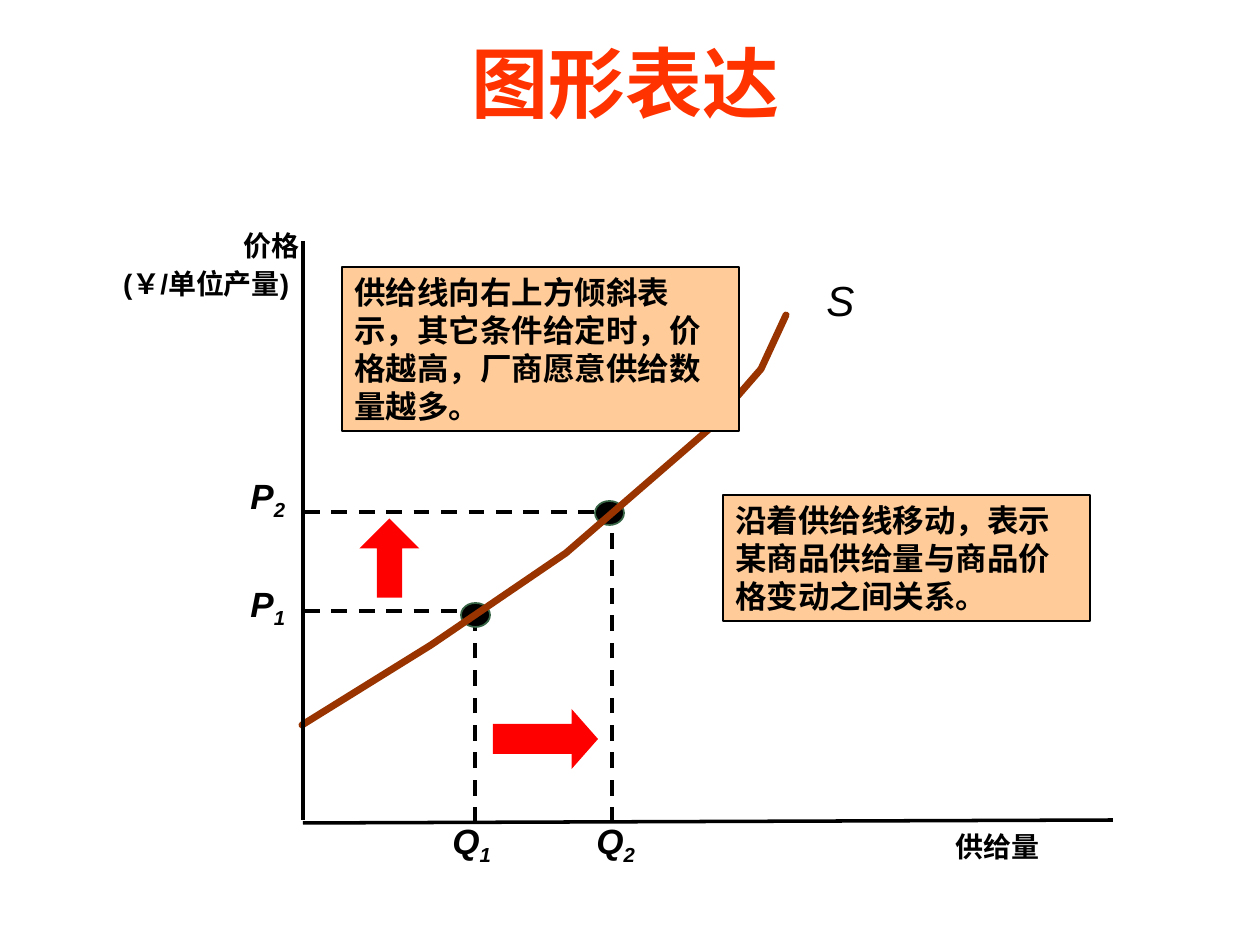
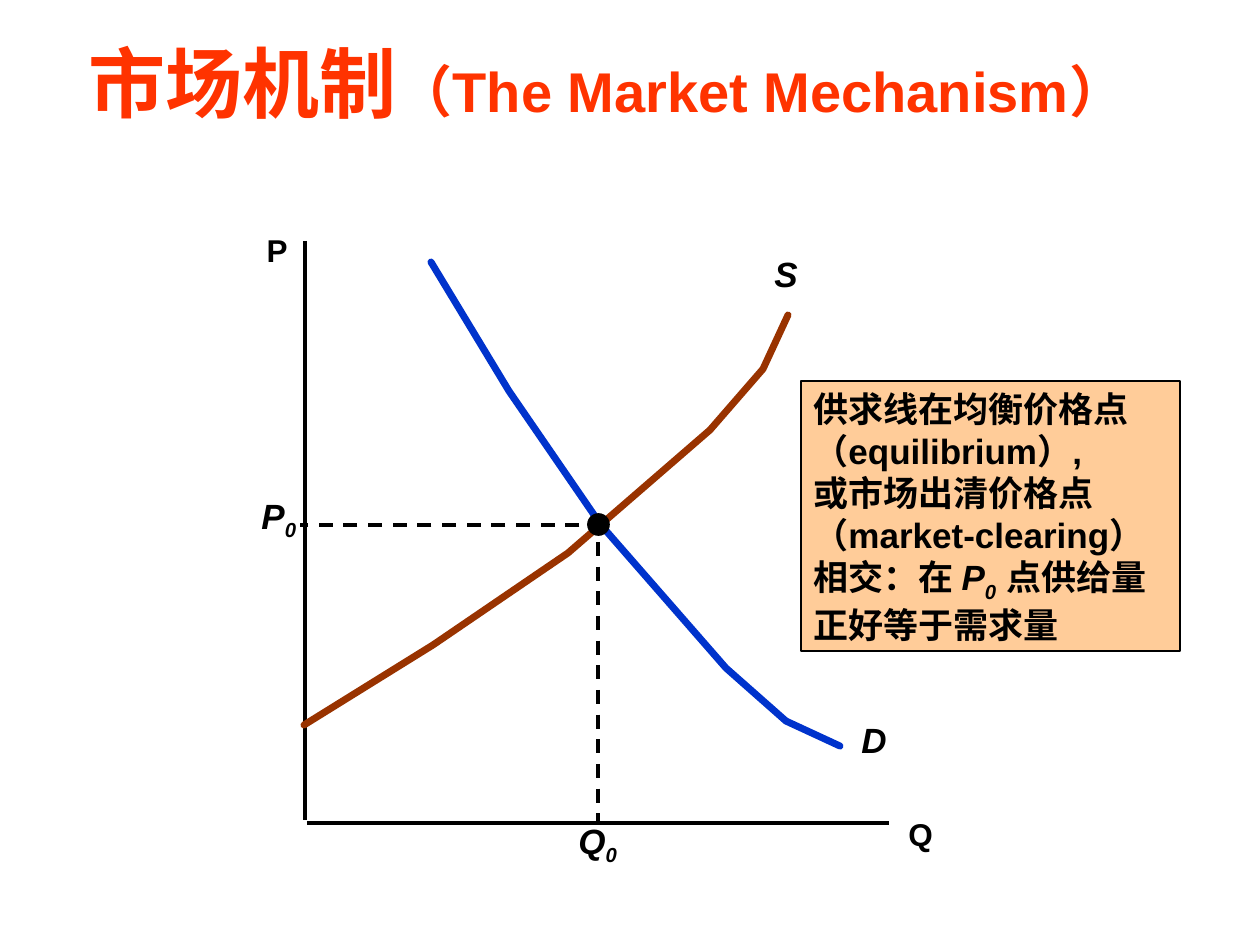
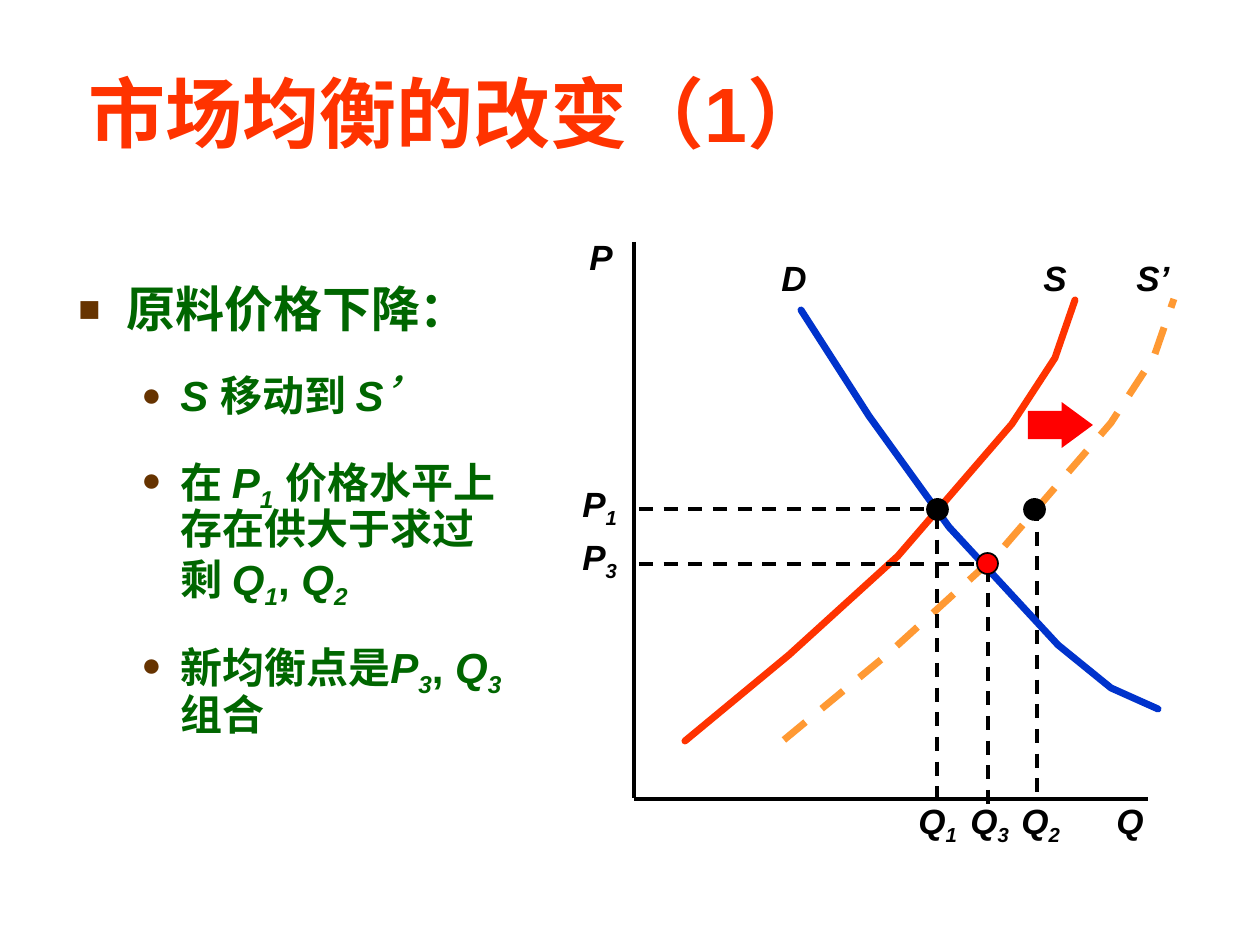
from lxml.etree import SubElement
from pptx import Presentation
from pptx.dml.color import RGBColor
from pptx.enum.dml import MSO_LINE
from pptx.enum.lang import MSO_LANGUAGE_ID
from pptx.enum.shapes import MSO_CONNECTOR, MSO_SHAPE
from pptx.enum.text import MSO_ANCHOR, MSO_AUTO_SIZE, PP_ALIGN
from pptx.oxml.ns import qn
from pptx.util import Emu, Pt

EMU_PER_PX = 914400 / 126
COLORS = {
    "title": "FF3300",
    "ink": "000000",
    "callout": "FFCC99",
    "supply": "993300",
    "demand": "0033CC",
    "old_supply": "FF3300",
    "new_supply": "FF9933",
    "arrow": "FF0000",
    "dot_edge": "376546",
    "body": "006600",
    "bullet": "663300",
}
TITLE = {"size": Pt(44), "bold": True, "color": "title"}
LABEL = {"size": Pt(20), "bold": True, "italic": True}
AXIS_NAME = {"size": Pt(16), "bold": True}
AXIS_LETTER = {"size": Pt(18), "bold": True}
SPACER = (" ", {"size": Pt(24), "name": "Times New Roman", "bold": False})
ITALIC = {"italic": True}
SUBSCRIPT = {"italic": True, "subscript": True}

# Offsets from the first point of each curve
SUPPLY = [(0, 0), (129, -80), (264, -172), (406, -295), (459, -356), (484, -410)]
DEMAND = [(0, 0), (78, 129), (170, 263), (295, 406), (355, 459), (409, 484)]


def px(length):
    return Emu(round(length * EMU_PER_PX))


def box(*lengths):
    return [px(length) for length in lengths]


def rgb(name):
    return RGBColor.from_string(COLORS[name])


def symbol(letter, index):
    """Runs for a letter with a lowered index."""
    return [(letter, ITALIC), (index, SUBSCRIPT)]


def add_runs(paragraph, runs, base):
    for text, changes in runs:
        style = {"name": "Arial", "color": "ink", "subscript": False,
                 "language_id": MSO_LANGUAGE_ID.SIMPLIFIED_CHINESE, **base, **changes}
        run = paragraph.add_run()
        run.text = text
        run.font.color.rgb = rgb(style.pop("color"))
        if style.pop("subscript"):
            run._r.get_or_add_rPr().set("baseline", "-25000")
        for name, value in style.items():
            setattr(run.font, name, value)


def fill_text(frame, paragraphs, base, frame_format=None, paragraph_format=None):
    """Write lists of runs, one list to a paragraph."""
    for name, value in (frame_format or {}).items():
        setattr(frame, name, value)
    for index, runs in enumerate(paragraphs):
        paragraph = frame.add_paragraph() if index else frame.paragraphs[0]
        for name, value in {"alignment": PP_ALIGN.LEFT, **(paragraph_format or {})}.items():
            setattr(paragraph, name, value)
        paragraph._p.get_or_add_pPr().set("hangingPunct", "0")
        add_runs(paragraph, runs, base)


def add_title(slide, runs, left, top, width, height, alignment=PP_ALIGN.LEFT):
    frame = slide.shapes.add_textbox(*box(left, top, width, height)).text_frame
    fill_text(frame, [runs], TITLE,
              {"word_wrap": True, "vertical_anchor": MSO_ANCHOR.BOTTOM},
              {"alignment": alignment})


def add_label(slide, paragraphs, left, top, width, height=54, base=LABEL, **paragraph_format):
    frame = slide.shapes.add_textbox(*box(left, top, width, height)).text_frame
    fill_text(frame, paragraphs, base,
              {"word_wrap": False, "auto_size": MSO_AUTO_SIZE.SHAPE_TO_FIT_TEXT},
              paragraph_format)


def add_letter(slide, letter, left, top, width=48, base=LABEL):
    add_label(slide, [[(letter, {})]], left, top, width, base=base)


def add_symbol(slide, letter, index, left, top):
    width = 62 if letter == "P" else 66
    add_label(slide, [symbol(letter, index)], left, top, width, 60)


def style_line(line, color, width, dashed=False):
    line.color.rgb = rgb(color)
    line.width = Pt(width)
    if dashed:
        line.dash_style = MSO_LINE.DASH


def add_line(slide, start, end, width=2, dashed=False):
    line = slide.shapes.add_connector(MSO_CONNECTOR.STRAIGHT, *box(*start, *end))
    style_line(line.line, "ink", width, dashed)
    SubElement(line._element.spPr, qn("a:effectLst"))


def add_guides(slide, *ends, width=2):
    """Dashed lines, each given by its start and end."""
    for start, end in ends:
        add_line(slide, start, end, width, dashed=True)


def add_shape(slide, kind, bounds, fill, edge=None):
    shape = slide.shapes.add_shape(kind, *box(*bounds))
    shape.shadow.inherit = False
    shape.fill.solid()
    shape.fill.fore_color.rgb = rgb(fill)
    if edge:
        style_line(shape.line, edge, 1)
    else:
        shape.line.fill.background()
    return shape


def add_dot(slide, left, top, width=21, height=21, fill="ink", edge="ink"):
    add_shape(slide, MSO_SHAPE.OVAL, (left, top, width, height), fill, edge)


def add_arrow(slide, bounds, shaft, head, rotation=0):
    arrow = add_shape(slide, MSO_SHAPE.RIGHT_ARROW, bounds, "arrow")
    arrow.adjustments[0], arrow.adjustments[1] = shaft, head
    arrow.rotation = rotation


def add_callout(slide, paragraphs, bounds, size):
    callout = add_shape(slide, MSO_SHAPE.RECTANGLE, bounds, "callout", "ink")
    fill_text(callout.text_frame, paragraphs, {"size": Pt(size), "bold": True},
              {"word_wrap": True, "vertical_anchor": MSO_ANCHOR.TOP})


def add_curve(slide, offsets, start, color, stretch=(1, 1), dashed=False):
    points = [tuple(round(origin + offset * factor)
                    for origin, offset, factor in zip(start, pair, stretch))
              for pair in offsets]
    builder = slide.shapes.build_freeform(*points[0], scale=EMU_PER_PX)
    builder.add_line_segments(points[1:], close=False)
    curve = builder.convert_to_shape()
    curve.shadow.inherit = False
    curve.fill.background()
    style_line(curve.line, color, 4, dashed)
    outline = curve._element.spPr.find(qn("a:ln"))
    outline.set("cap", "flat" if dashed else "rnd")
    SubElement(outline, qn("a:round"))


def add_bullet(paragraph, character, percent, margin, indent):
    properties = paragraph._p.get_or_add_pPr()
    properties.set("marL", str(px(margin)))
    properties.set("indent", str(px(-indent)))
    color = SubElement(properties, qn("a:buClr"))
    SubElement(color, qn("a:srgbClr"), val=COLORS["bullet"])
    SubElement(properties, qn("a:buSzPct"), val=str(percent * 1000))
    SubElement(properties, qn("a:buFont"), typeface="Arial")
    SubElement(properties, qn("a:buChar"), char=character)


def add_body(slide, heading, points, bounds):
    frame = slide.shapes.add_textbox(*box(*bounds)).text_frame
    frame.word_wrap = True
    base = {"bold": True, "italic": False, "color": "body"}
    levels = [(heading, 28, 24.5, ("■", 75, 48, 48))]
    levels += [(runs, 24, 21, ("●", 80, 102, 39)) for runs in points]
    for index, (runs, size, space, bullet) in enumerate(levels):
        paragraph = frame.add_paragraph() if index else frame.paragraphs[0]
        paragraph.line_spacing = 0.9
        paragraph.space_before = Pt(space)
        paragraph._p.get_or_add_pPr().set("hangingPunct", "0")
        add_bullet(paragraph, *bullet)
        add_runs(paragraph, runs, {**base, "size": Pt(size)})


def build_supply_slide(slide):
    add_title(slide, [("图形表达", {})], 76, 27, 1100, 107, PP_ALIGN.CENTER)
    add_label(slide, [[("供给量", {}), SPACER]], 943, 809, 120, 63, AXIS_NAME)

    add_guides(slide, ((304, 611), (485, 611)), ((475, 823), (475, 616)), width=2.25)
    add_dot(slide, 461, 603, 29, 24, edge="dot_edge")
    add_guides(slide, ((304, 512), (619, 512)), ((612, 823), (612, 508)), width=2.25)
    add_dot(slide, 595, 501, 29, 24, edge="dot_edge")
    add_arrow(slide, (493, 709, 105, 60), 0.5, 0.44)
    add_arrow(slide, (350, 528, 79, 60), 0.42, 0.5, rotation=270)
    for letter, index, left, top in [("P", "1", 238, 576), ("Q", "1", 440, 813),
                                     ("P", "2", 238, 468), ("Q", "2", 584, 813)]:
        add_symbol(slide, letter, index, left, top)

    add_curve(slide, SUPPLY, (302, 725), "supply")
    add_letter(slide, "S", 814, 268, 53, {"size": Pt(24), "italic": True})
    add_callout(slide, [[("供给线向右上方倾斜表示，其它条件给定时，价格越高，厂商愿意供给数量越多。", {})]],
                (342, 267, 397, 164), 18)
    add_line(slide, (303, 241), (303, 820))
    add_line(slide, (303, 823), (1113, 820))
    add_label(slide, [[("价格", {})], [("(￥/单位产量)", {}), SPACER]],
              80, 229, 232, 80, AXIS_NAME, alignment=PP_ALIGN.RIGHT, line_spacing=0.8)
    add_callout(slide, [[("沿着供给线移动，表示某商品供给量与商品价格变动之间关系。", {})]],
                (723, 495, 367, 126), 18)


def build_mechanism_slide(slide):
    add_title(slide, [("市场机制", {}), ("（The Market Mechanism）", {"size": Pt(32)})],
              76, 27, 1100, 107)
    add_line(slide, (305, 241), (305, 820))
    add_line(slide, (307, 823), (889, 823))
    add_letter(slide, "Q", 896, 809, base=AXIS_LETTER)
    add_curve(slide, DEMAND, (431, 262), "demand")
    add_letter(slide, "D", 849, 712)
    add_curve(slide, SUPPLY, (304, 725), "supply")
    add_letter(slide, "S", 762, 246)
    add_callout(slide, [
        [("供求线在均衡价格点（equilibrium）,", {})],
        [("或市场出清价格点", {})],
        [("（market-clearing）相交：在 ", {}), *symbol("P", "0"), (" 点供给量正好等于需求量", {})],
    ], (801, 381, 379, 270), 20)
    add_guides(slide, ((604, 525), (300, 525)))
    add_dot(slide, 588, 514)
    add_symbol(slide, "P", "0", 249, 488)
    add_symbol(slide, "Q", "0", 566, 813)
    add_guides(slide, ((598, 542), (598, 824)))
    add_label(slide, [[("P", {})]], 253, 229, 47, 47, AXIS_LETTER,
              alignment=PP_ALIGN.RIGHT, line_spacing=0.9)


def build_equilibrium_slide(slide):
    supply_stretch = (390 / 484, 441 / 410)
    demand_stretch = (357 / 409, 399 / 484)
    add_curve(slide, SUPPLY, (784, 740), "new_supply", supply_stretch, dashed=True)
    add_letter(slide, "S’", 1124, 250, 58)
    add_arrow(slide, (1028, 402, 65, 46), 0.61, 0.68)
    add_guides(slide, ((1037, 507), (1037, 799)))
    add_dot(slide, 1024, 499)

    add_body(slide, [("原料价格下降：", {})], [
        [("S ", ITALIC), ("移动到 ", {}), ("S’", ITALIC)],
        [("在 ", {}), *symbol("P", "1"), (" 价格水平上存在供大于求过剩 ", {}),
         *symbol("Q", "1"), (", ", {}), *symbol("Q", "2")],
        [("新均衡点是", {}), *symbol("P", "3"), (", ", {}), *symbol("Q", "3"), ("组合", {})],
    ], (66, 279, 460, 478))

    add_line(slide, (634, 242), (634, 798))
    add_line(slide, (634, 799), (1148, 799))
    add_curve(slide, SUPPLY, (685, 741), "old_supply", supply_stretch)
    add_curve(slide, DEMAND, (801, 310), "demand", demand_stretch)
    for letter, left, top in [("P", 577, 229), ("Q", 1104, 793),
                              ("S", 1031, 250), ("D", 769, 250)]:
        add_letter(slide, letter, left, top)

    add_guides(slide, ((639, 564), (985, 564)), ((988, 568), (988, 809)))
    add_dot(slide, 977, 553, fill="arrow")
    add_guides(slide, ((937, 515), (937, 798)), ((639, 509), (939, 509)))
    add_dot(slide, 927, 499)
    for index, top in [("1", 476), ("3", 529)]:
        add_symbol(slide, "P", index, 570, top)
    for index, left in [("1", 906), ("3", 958), ("2", 1009)]:
        add_symbol(slide, "Q", index, left, 793)
    add_title(slide, [("市场均衡的改变（1）", {})], 76, 64, 980, 100)


def main():
    presentation = Presentation()
    presentation.slide_width, presentation.slide_height = box(1260, 945)
    blank = presentation.slide_layouts[6]
    for build in (build_supply_slide, build_mechanism_slide, build_equilibrium_slide):
        build(presentation.slides.add_slide(blank))
    presentation.save("out.pptx")


if __name__ == "__main__":
    main()
